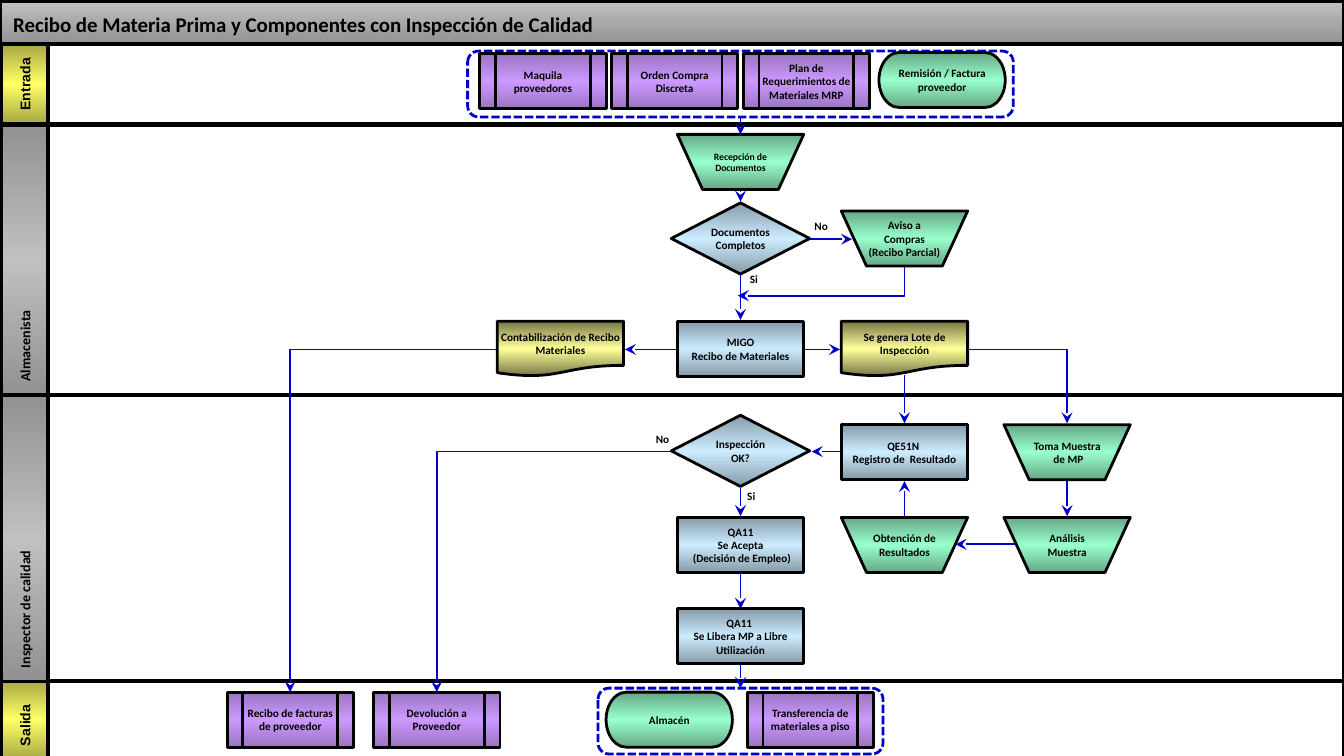
from lxml import etree
from pptx import Presentation
from pptx import util as u
from pptx.dml.color import RGBColor
from pptx.enum import dml, shapes, text
from pptx.oxml.ns import qn

BLACK = RGBColor(0x00, 0x00, 0x00)
WHITE = RGBColor(0xFF, 0xFF, 0xFF)
BACKDROP = RGBColor(0xF2, 0xF2, 0xF2)
FLOW_BLUE = RGBColor(0x00, 0x00, 0xCC)
GREY, DARK_GREY = RGBColor(0xC0, 0xC0, 0xC0), RGBColor(0x92, 0x92, 0x92)
YELLOW, DARK_YELLOW = RGBColor(0xFF, 0xFF, 0x66), RGBColor(0xA8, 0xA8, 0x43)
SKY, DARK_SKY = RGBColor(0xCC, 0xEC, 0xFF), RGBColor(0x86, 0x9B, 0xA8)
PURPLE, DARK_PURPLE = RGBColor(0xCC, 0x99, 0xFF), RGBColor(0x9A, 0x74, 0xC1)
GREEN, DARK_GREEN = RGBColor(0x99, 0xFF, 0xCC), RGBColor(0x65, 0xA8, 0x86)
CREAM, DARK_CREAM = RGBColor(0xFF, 0xFF, 0x99), RGBColor(0x76, 0x76, 0x47)

KIND = shapes.MSO_SHAPE
# Each step type: outline and gradient
ACTION = (KIND.RECTANGLE, (DARK_SKY, SKY, DARK_SKY))
DECISION = (KIND.DIAMOND, (DARK_SKY, SKY, DARK_SKY))
PROCESS = (KIND.FLOWCHART_PREDEFINED_PROCESS, (DARK_PURPLE, PURPLE, DARK_PURPLE))
MANUAL = (KIND.FLOWCHART_MANUAL_OPERATION, (DARK_GREEN, GREEN, DARK_GREEN))
TERMINAL = (KIND.FLOWCHART_TERMINATOR, (DARK_GREEN, GREEN, DARK_GREEN))
DOCUMENT = (KIND.FLOWCHART_DOCUMENT, (DARK_CREAM, CREAM, DARK_CREAM))

# Column centres, from left to right
INVOICE, RETURN, POSTING, MAIN, RESULT, SAMPLE = 2.16, 3.25, 4.17, 5.51, 6.73, 7.94
STEP_W, STEP_H = 0.94, 0.41
DECISION_W, DECISION_H = 1.03, 0.53


def paint_gradient(shape, colours):
    shape.fill.gradient()
    shape.fill.gradient_angle = 270
    stops = shape._element.spPr.find(qn("a:gradFill")).find(qn("a:gsLst"))
    for stop in list(stops):
        stops.remove(stop)
    for i, colour in enumerate(colours):
        stop = etree.SubElement(stops, qn("a:gs"), pos=str(100000 * i // (len(colours) - 1)))
        etree.SubElement(stop, qn("a:srgbClr"), val=str(colour))


def add_block(slide, kind, left, top, width, height, line_width, line_colour=BLACK):
    block = slide.shapes.add_shape(
        kind, u.Inches(left), u.Inches(top), u.Inches(width), u.Inches(height))
    block.shadow.inherit = False
    block.line.color.rgb = line_colour
    block.line.width = u.Pt(line_width)
    return block


def write(frame, wording, size, font="Calibri", align=text.PP_ALIGN.CENTER, inset=None):
    frame.text = wording
    if inset is not None:
        frame.margin_left = frame.margin_right = u.Inches(inset)
        frame.margin_top = frame.margin_bottom = u.Inches(inset)
    for paragraph in frame.paragraphs:
        paragraph.alignment = align
        paragraph.font.name = font
        paragraph.font.size = u.Pt(size)
        paragraph.font.bold = True
        paragraph.font.color.rgb = BLACK


def add_lane(slide, name, top, height, colours, font):
    band = add_block(slide, KIND.RECTANGLE, 0, top, 10, height, 2)
    band.fill.solid()
    band.fill.fore_color.rgb = WHITE
    heading = add_block(slide, KIND.RECTANGLE, 0.01, top, 0.35, height, 2)
    paint_gradient(heading, colours)
    heading.rotation = 180
    write(heading.text_frame, name, 7.5, font)
    heading.text_frame.word_wrap = False
    heading.text_frame._txBody.bodyPr.set("vert", "eaVert")


def add_step(slide, step_type, wording, centre, top, size=6):
    kind, colours = step_type
    decides = step_type is DECISION
    width, height = (DECISION_W, DECISION_H) if decides else (STEP_W, STEP_H)
    step = add_block(slide, kind, centre - width / 2, top, width, height, 1.5)
    paint_gradient(step, colours)
    write(step.text_frame, wording, size, inset=0 if decides else 0.01)


def add_dashed_group(slide, left, top, width):
    border = add_block(slide, KIND.FLOWCHART_ALTERNATE_PROCESS, left, top, width, 0.49,
                       1.5, FLOW_BLUE)
    border.fill.background()
    border.line.dash_style = dml.MSO_LINE.SQUARE_DOT


def add_caption(slide, wording, left, top, width, height):
    caption = slide.shapes.add_textbox(
        u.Inches(left), u.Inches(top), u.Inches(width), u.Inches(height))
    caption.text_frame.word_wrap = False
    return caption.text_frame


def add_answer(slide, wording, left, top):
    frame = add_caption(slide, wording, left, top, 0.1 if wording == "No" else 0.06, 0.1)
    write(frame, wording, 6, align=text.PP_ALIGN.LEFT, inset=0)
    frame.auto_size = text.MSO_AUTO_SIZE.SHAPE_TO_FIT_TEXT


def add_arrow(slide, x1, y1, x2, y2, kind=shapes.MSO_CONNECTOR.STRAIGHT):
    arrow = slide.shapes.add_connector(
        kind, u.Inches(x1), u.Inches(y1), u.Inches(x2), u.Inches(y2))
    arrow.line.color.rgb = FLOW_BLUE
    arrow.line.width = u.Pt(1)
    etree.SubElement(arrow.line._get_or_add_ln(), qn("a:tailEnd"), type="stealth")
    etree.SubElement(arrow._element.spPr, qn("a:effectLst"))
    return arrow


def add_corner_arrow(slide, x1, y1, x2, y2, down_first=False):
    """One right-angle turn: across then down, or down then left."""
    if down_first:
        # Unrotated frame around the same centre, then a quarter turn
        cx, cy = (x1 + x2) / 2, (y1 + y2) / 2
        half_w, half_h = (y2 - y1) / 2, (x1 - x2) / 2
        x1, y1, x2, y2 = cx - half_w, cy - half_h, cx + half_w, cy + half_h
    arrow = add_arrow(slide, x1, y1, x2, y2, shapes.MSO_CONNECTOR.ELBOW)
    properties = arrow._element.spPr
    properties.find(qn("a:prstGeom")).set("prst", "bentConnector2")
    if down_first:
        properties.find(qn("a:xfrm")).set("rot", "5400000")


def main():
    prs = Presentation()
    prs.slide_width = u.Inches(10)
    prs.slide_height = prs.slide_width * 9 // 16
    slide = prs.slides.add_slide(prs.slide_layouts[6])
    slide.background.fill.solid()
    slide.background.fill.fore_color.rgb = BACKDROP

    # Swimlanes and title bar
    outer, inner = (DARK_YELLOW, YELLOW, DARK_YELLOW), (DARK_GREY, GREY, DARK_GREY)
    add_lane(slide, "Salida", 5.06, 0.59, outer, "Arial")
    add_lane(slide, "Entrada", 0.33, 0.59, outer, "Arial")
    title_bar = add_block(slide, KIND.RECTANGLE, 0, 0.01, 10, 0.32, 2)
    paint_gradient(title_bar, (GREY, DARK_GREY))
    add_lane(slide, "Inspector de calidad", 2.94, 2.13, inner, "Calibri")
    add_lane(slide, "Almacenista", 0.93, 2.01, inner, "Calibri")
    title = "Recibo de Materia Prima y Componentes con Inspección de Calidad"
    title_frame = add_caption(slide, title, 0, 0.02, 6.58, 0.32)
    title_frame.vertical_anchor = text.MSO_ANCHOR.MIDDLE
    write(title_frame, title, 11.2, align=text.PP_ALIGN.LEFT)

    # Dashed borders around the inputs and the outputs
    add_dashed_group(slide, 3.48, 0.38, 4.06)
    add_dashed_group(slide, 4.45, 5.12, 2.12)

    # Entrada
    inputs = ["Maquila proveedores", "Orden Compra Discreta",
              "Plan de Requerimientos de Materiales MRP"]
    for i, wording in enumerate(inputs):
        add_step(slide, PROCESS, wording, 4.04 + 0.98 * i, 0.4)
    add_step(slide, TERMINAL, "Remisión / Factura proveedor", 7.01, 0.39)

    # Almacenista
    add_step(slide, MANUAL, "Recepción de Documentos", MAIN, 1, size=5.2)
    add_step(slide, DECISION, "Documentos Completos", MAIN, 1.51)
    add_step(slide, MANUAL, "Aviso a Compras\n(Recibo Parcial)", RESULT, 1.57)
    add_step(slide, DOCUMENT, "Contabilización de Recibo Materiales", POSTING, 2.39)
    add_step(slide, ACTION, "MIGO\nRecibo de Materiales", MAIN, 2.39)
    add_step(slide, DOCUMENT, "Se genera Lote de Inspección", RESULT, 2.39)

    # Inspector de calidad
    add_step(slide, DECISION, "Inspección OK?", MAIN, 3.09)
    add_step(slide, ACTION, "QE51N \nRegistro de  Resultado", RESULT, 3.16)
    add_step(slide, MANUAL, "Toma Muestra\n de MP", SAMPLE, 3.16)
    add_step(slide, ACTION, "QA11\nSe Acepta\n (Decisión de Empleo)", MAIN, 3.85)
    add_step(slide, MANUAL, "Obtención de Resultados", RESULT, 3.85)
    add_step(slide, MANUAL, "Análisis Muestra", SAMPLE, 3.85)
    add_step(slide, ACTION, "QA11 \nSe Libera MP a Libre Utilización", MAIN, 4.53)

    # Salida
    add_step(slide, PROCESS, "Recibo de facturas de proveedor", INVOICE, 5.15)
    add_step(slide, PROCESS, "Devolución a Proveedor", RETURN, 5.15)
    add_step(slide, TERMINAL, "Almacén", 4.98, 5.15)
    add_step(slide, PROCESS, "Transferencia de materiales a piso", 6.03, 5.15)

    # Answers beside the decisions
    for wording, left, top in [("No", 6.06, 1.63), ("Si", 5.58, 2.03),
                               ("No", 4.88, 3.22), ("Si", 5.56, 3.64)]:
        add_answer(slide, wording, left, top)

    # Vertical flow: column, start, end
    for column, start, end in [
            (MAIN, 0.86, 1), (MAIN, 1.42, 1.5), (MAIN, 2.05, 2.38), (MAIN, 3.63, 3.84),
            (MAIN, 4.26, 4.53), (MAIN, 4.94, 5.12), (RESULT, 2.79, 3.15),
            (RESULT, 3.84, 3.58), (SAMPLE, 3.58, 3.84)]:
        add_arrow(slide, column, start, column, end)

    # Horizontal flow: height, start, end
    for level, start, end in [(1.78, 6.03, 6.34), (2.6, 5.99, 6.25), (2.6, 5.03, 4.65),
                              (3.36, 6.25, 6.04), (4.05, 7.56, 7.11)]:
        add_arrow(slide, start, level, end, level)

    # Flow that turns a corner
    add_corner_arrow(slide, 3.7, 2.6, INVOICE, 5.15)
    add_corner_arrow(slide, 4.99, 3.36, RETURN, 5.15)
    add_corner_arrow(slide, 7.21, 2.6, SAMPLE, 3.15)
    add_corner_arrow(slide, RESULT, 1.99, 5.49, 2.2, down_first=True)

    prs.save("out.pptx")


if __name__ == "__main__":
    main()
